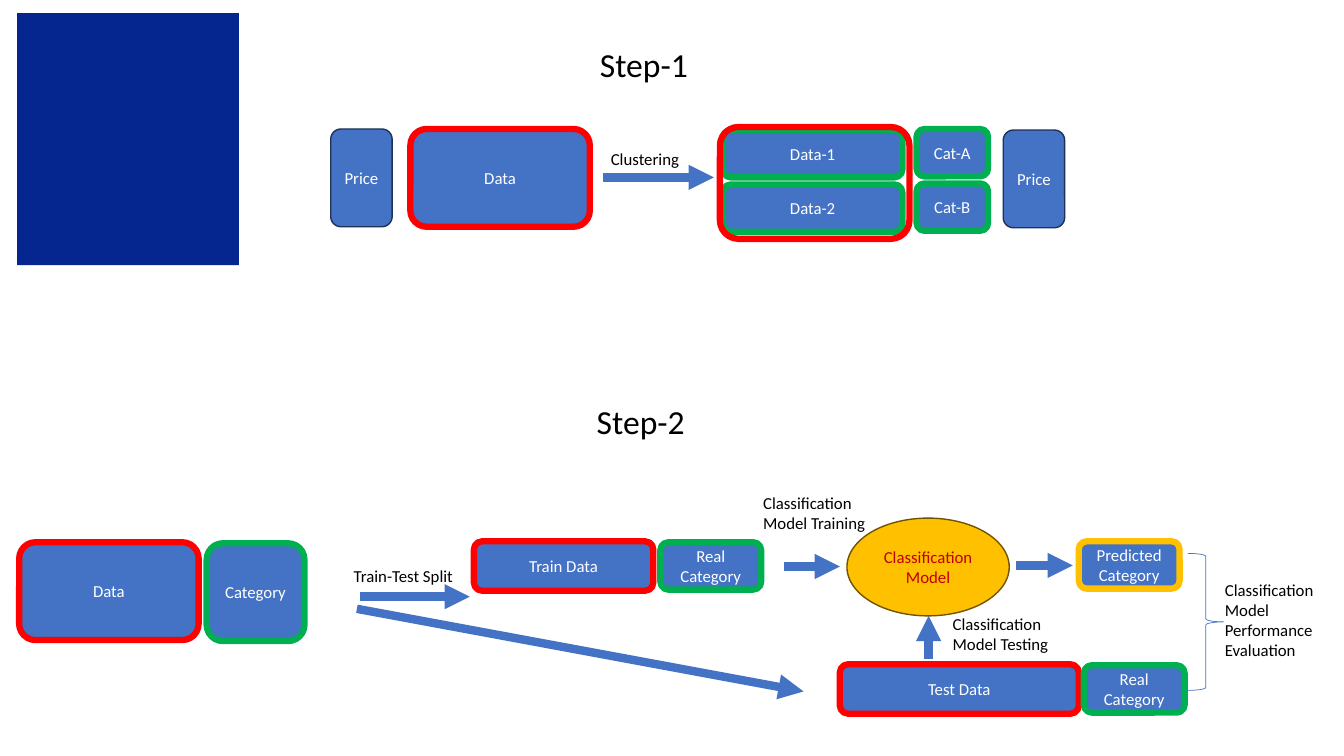
"""Build a two-step slide on clustering and classification of price data."""
from lxml.etree import SubElement
from pptx import Presentation
from pptx.dml.color import RGBColor
from pptx.enum.shapes import MSO_CONNECTOR, MSO_SHAPE
from pptx.enum.text import MSO_ANCHOR, MSO_AUTO_SIZE, PP_ALIGN
from pptx.oxml.ns import qn
from pptx.util import Inches, Pt

BLUE = RGBColor(0x44, 0x72, 0xC4)
EDGE = RGBColor(0x1E, 0x32, 0x56)
NAVY = RGBColor(0x05, 0x25, 0x8F)
RED = RGBColor(0xFF, 0x00, 0x00)
GREEN = RGBColor(0x00, 0xB0, 0x50)
GOLD = RGBColor(0xFF, 0xC0, 0x00)
BROWN = RGBColor(0x70, 0x54, 0x00)
WINE = RGBColor(0xC0, 0x00, 0x00)
BLACK = RGBColor(0, 0, 0)
WHITE = RGBColor(0xFF, 0xFF, 0xFF)

ROUND, OVAL = MSO_SHAPE.ROUNDED_RECTANGLE, MSO_SHAPE.OVAL
WIDE, TALL, LOW = 1.78, 0.97, 0.47

KINDS = {
    "price": (ROUND, BLUE, EDGE, 1, WHITE),
    "data": (ROUND, BLUE, RED, 4.5, WHITE),
    "label": (ROUND, BLUE, GREEN, 4.5, WHITE),
    "guess": (ROUND, BLUE, GOLD, 4.5, WHITE),
    "model": (OVAL, GOLD, BROWN, 1, WINE),
    "frame": (ROUND, None, RED, 4.5, WHITE),
    "brace": (MSO_SHAPE.RIGHT_BRACE, None, BLUE, 0.5, BLACK),
    "emblem": (MSO_SHAPE.RECTANGLE, NAVY, None, 0, WHITE),
}
SHAPES = [
    ("emblem", "", 0.17, 0.13, 2.2, 2.5),
    ("price", "Price", 3.28, 1.28, 0.61, TALL),
    ("data", "Data", 4.07, 1.28, WIDE, TALL),
    ("label", "Data-2", 7.17, 1.83, WIDE, LOW),
    ("label", "Data-1", 7.17, 1.29, WIDE, LOW),
    ("frame", "", 7.14, 1.26, 1.88, 1.11),
    ("label", "Cat-B", 9.09, 1.82, 0.71, LOW),
    ("label", "Cat-A", 9.09, 1.28, 0.71, LOW),
    ("price", "Price", 9.95, 1.29, 0.61, TALL),
    ("data", "Data", 0.19, 5.38, WIDE, TALL),
    ("label", "Category", 2.05, 5.39, TALL, TALL),
    ("data", "Train Data", 4.7, 5.37, WIDE, 0.49),
    ("label", "Real Category", 6.55, 5.38, 1, LOW),
    ("data", "Test Data", 8.33, 6.59, 2.37, 0.49),
    ("label", "Real Category", 10.75, 6.6, 1, LOW),
    ("model", "Classification Model", 8.4, 5.14, 1.61, TALL),
    ("guess", "Predicted Category", 10.7, 5.37, 1, LOW),
    ("brace", "", 11.78, 5.49, 0.36, 1.36),
]
ARROWS = [
    (5.98, 1.76, 7.08, 1.76),
    (3.57, 5.92, 4.66, 5.92),
    (3.54, 6.04, 7.97, 6.86),
    (7.78, 5.62, 8.33, 5.62),
    (9.21, 6.54, 9.21, 6.11),
    (10.08, 5.61, 10.64, 5.61),
]
TITLE = ("Step-1", 5.85, 0.39, 2.85, 0.5)
NOTES = [
    ("Step-2", 5.82, 3.93, 2.85, 0.5, 24),
    ("Clustering", 5.96, 1.43, 1.28, 0.3, 12),
    ("Train-Test Split", 3.41, 5.56, 1.28, 0.3, 12),
    ("Classification Model Training", 7.47, 4.84, 1.28, 0.5, 12),
    ("Classification Model Testing", 9.35, 6.04, 1.28, 0.5, 12),
    ("Classification Model Performance Evaluation", 12.05, 5.7, 1.14, 0.91, 12),
]
FRAME = {"word_wrap": True, "auto_size": MSO_AUTO_SIZE.NONE}


def assign(item, values):
    """Set every named attribute on the item."""
    for name, value in values.items():
        setattr(item, name, value)


def write(shape, text, size, color, align, anchor):
    """Put formatted text in the shape."""
    frame = shape.text_frame
    assign(frame, FRAME | {"text": text, "vertical_anchor": anchor})
    para = frame.paragraphs[0]
    para.alignment = align
    font = para.runs[0].font
    assign(font, {"name": "Calibri", "size": Pt(size)})
    font.color.rgb = color


def paint(part, color):
    """Give a fill one colour, or none."""
    if color is None:
        part.background()
    else:
        part.solid()
        part.fore_color.rgb = color


def add_box(slide, kind, text, *place):
    """Add one preset shape in the style of its kind."""
    form, fill, edge, width, ink = KINDS[kind]
    shape = slide.shapes.add_shape(form, *map(Inches, place))
    shape.shadow.inherit = False
    paint(shape.fill, fill)
    paint(shape.line.fill, edge)
    if edge is not None:
        shape.line.width = Pt(width)
    if text:
        write(shape, text, 12, ink, PP_ALIGN.CENTER, MSO_ANCHOR.MIDDLE)


def add_arrow(slide, *ends):
    """Add one thick arrow between two points."""
    arrow = slide.shapes.add_connector(MSO_CONNECTOR.STRAIGHT, *map(Inches, ends))
    paint(arrow.line.fill, BLUE)
    arrow.line.width = Pt(6)
    props = arrow._element.spPr
    SubElement(props.find(qn("a:ln")), qn("a:tailEnd"), type="triangle")
    SubElement(props, qn("a:effectLst"))


def main():
    """Lay out the slide and save it."""
    deck = Presentation()
    assign(deck, {"slide_width": Inches(13.33), "slide_height": Inches(7.5)})
    slide = deck.slides.add_slide(deck.slide_layouts[5])
    text, *place = TITLE
    title = slide.shapes.title
    assign(title, dict(zip(("left", "top", "width", "height"), map(Inches, place))))
    write(title, text, 24, BLACK, PP_ALIGN.LEFT, MSO_ANCHOR.TOP)
    for box in SHAPES:
        add_box(slide, *box)
    for ends in ARROWS:
        add_arrow(slide, *ends)
    for text, *place, size in NOTES:
        note = slide.shapes.add_textbox(*map(Inches, place))
        write(note, text, size, BLACK, PP_ALIGN.LEFT, MSO_ANCHOR.TOP)
    deck.save("out.pptx")


if __name__ == "__main__":
    main()
